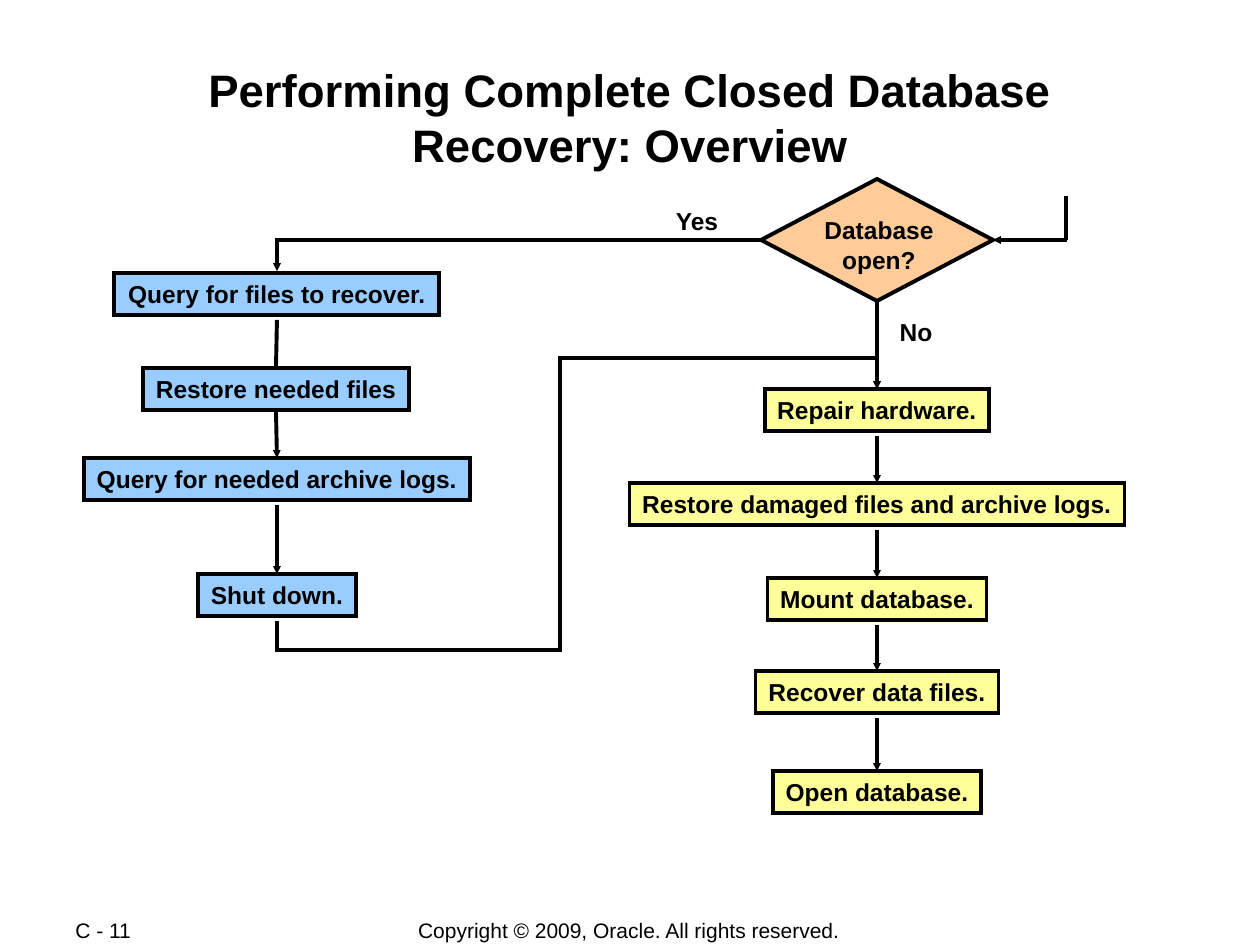
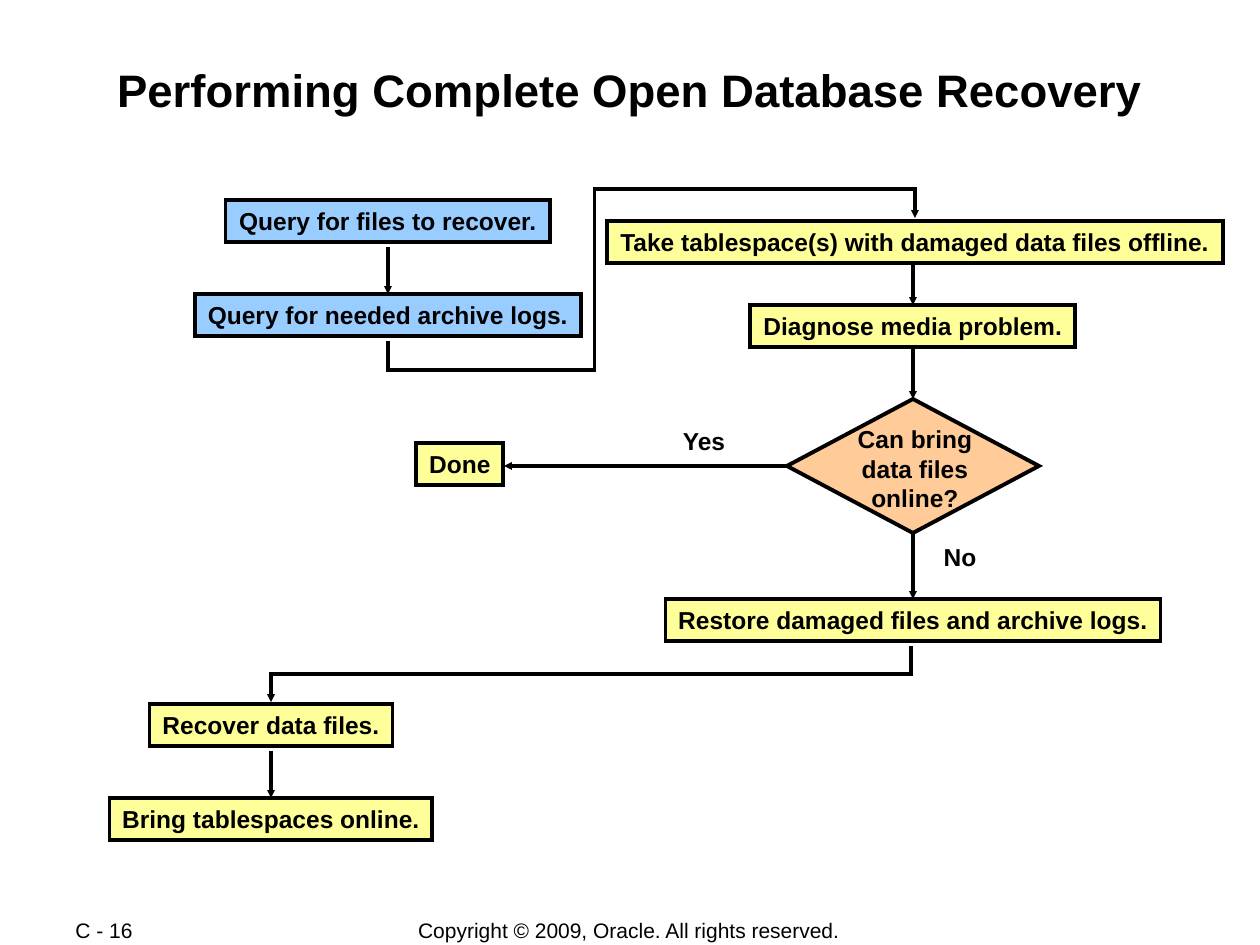
from lxml.etree import SubElement
from pptx import Presentation
from pptx.dml.color import RGBColor
from pptx.enum.shapes import MSO_CONNECTOR as LINK, MSO_SHAPE as SHAPE
from pptx.enum.text import MSO_ANCHOR as ANCHOR, MSO_AUTO_SIZE as AUTO, PP_ALIGN as ALIGN
from pptx.oxml.ns import qn
from pptx.util import Pt

PX = 914400 / 126
BLACK, BLUE, YELLOW, PEACH = "000000", "99CCFF", "FFFF99", "FFCC99"
FONT = "Arial"
STEP_HEIGHT, LINE_HEIGHT, LABEL_PADDING = 42, 29, 13
TOP, LEFT, BOTTOM, RIGHT = range(4)
COPYRIGHT = "Copyright © 2009, Oracle. All rights reserved."

QUERY_FILES = "Query for files to recover."
QUERY_LOGS = "Query for needed archive logs."
RESTORE_NEEDED = "Restore needed files"
SHUT_DOWN = "Shut down."
REPAIR = "Repair hardware."
RESTORE_DAMAGED = "Restore damaged files and archive logs."
MOUNT = "Mount database."
RECOVER = "Recover data files."
OPEN = "Open database."
TAKE_OFFLINE = "Take tablespace(s) with damaged data files offline."
DIAGNOSE = "Diagnose media problem."
BRING_ONLINE = "Bring tablespaces online."
DONE = "Done"
DECISION = "decision"

STEP_WIDTHS = {
    QUERY_FILES: 325, QUERY_LOGS: 386, RESTORE_NEEDED: 266, SHUT_DOWN: 158,
    REPAIR: 224, RESTORE_DAMAGED: 495, MOUNT: 219, RECOVER: 243, OPEN: 208,
    TAKE_OFFLINE: 616, DIAGNOSE: 325, BRING_ONLINE: 323, DONE: 87,
}

FLOWCHARTS = [
    {
        "title": "Performing Complete Closed Database\vRecovery: Overview",
        "page": "C - 11",
        "decision": (877, 179, 232, 122),
        "labels": [("Database\nopen?", 879, 209, 136), ("Yes", 697, 200, 70), ("No", 916, 311, 58)],
        "steps": [
            (QUERY_FILES, 277, 273, BLUE), (RESTORE_NEEDED, 276, 368, BLUE),
            (QUERY_LOGS, 277, 458, BLUE), (SHUT_DOWN, 277, 574, BLUE),
            (REPAIR, 877, 389, YELLOW), (RESTORE_DAMAGED, 877, 483, YELLOW),
            (MOUNT, 877, 578, YELLOW), (RECOVER, 877, 671, YELLOW),
            (OPEN, 877, 771, YELLOW),
        ],
        "flows": [
            (QUERY_FILES, RESTORE_NEEDED, 5, False), (RESTORE_NEEDED, QUERY_LOGS, 0, True),
            (QUERY_LOGS, SHUT_DOWN, 5, True), (DECISION, REPAIR, 0, True),
            (REPAIR, RESTORE_DAMAGED, 5, True), (RESTORE_DAMAGED, MOUNT, 5, True),
            (MOUNT, RECOVER, 5, True), (RECOVER, OPEN, 5, True),
        ],
        "lines": [
            ((1067, 240), (DECISION, RIGHT), True),
            ((1066, 240), (1066, 196), False),
        ],
        "elbows": [
            ((760, 240), (277, 271), "bentConnector2", 180, "V", ()),
            ((277, 621), (877, 389), "bentConnector5", 90, "HV", (-126, 472, 1134)),
        ],
    },
    {
        "title": "Performing Complete Open Database Recovery",
        "page": "C - 16",
        "decision": (913, 399, 252, 134),
        "labels": [
            ("Can bring\ndata files\vonline?", 915, 418, 140),
            ("Yes", 704, 420, 70), ("No", 960, 536, 58),
        ],
        "steps": [
            (QUERY_FILES, 388, 200, BLUE), (QUERY_LOGS, 388, 294, BLUE),
            (TAKE_OFFLINE, 915, 221, YELLOW), (DIAGNOSE, 913, 305, YELLOW),
            (RESTORE_DAMAGED, 913, 599, YELLOW), (RECOVER, 271, 704, YELLOW),
            (BRING_ONLINE, 271, 798, YELLOW), (DONE, 460, 443, YELLOW),
        ],
        "flows": [
            (QUERY_FILES, QUERY_LOGS, 5, True), (DIAGNOSE, DECISION, 0, True),
            (DECISION, RESTORE_DAMAGED, 0, True), (RECOVER, BRING_ONLINE, 5, True),
        ],
        "lines": [
            ((913, 263), (DIAGNOSE, TOP), True),
            ((DECISION, LEFT), (504, 466), True),
        ],
        "elbows": [
            ((911, 646), (271, 702), "bentConnector3", 90, "", (500,)),
            ((388, 341), (915, 218), "bentConnector5", 90, "HV", (-239, 392, 1239)),
        ],
    },
]


def emu(*lengths):
    return [round(length * PX) for length in lengths]


def color(hex_code):
    return RGBColor.from_string(hex_code)


def write(frame, text, size, bold=False, align=ALIGN.CENTER):
    frame.text = text
    for paragraph in frame.paragraphs:
        paragraph.alignment = align
        for run in paragraph.runs:
            run.font.name, run.font.size, run.font.bold = FONT, Pt(size), bold
            run.font.color.rgb = color(BLACK)


def add_label(slide, text, box, size=14, bold=True, align=ALIGN.CENTER, wrap=False, anchor=ANCHOR.TOP):
    frame = slide.shapes.add_textbox(*emu(*box)).text_frame
    frame.word_wrap, frame.vertical_anchor = wrap, anchor
    write(frame, text, size, bold, align)


def style_line(line):
    line.color.rgb, line.width = color(BLACK), Pt(2.25)
    outline = line._get_or_add_ln()
    SubElement(outline, qn("a:miter"), lim="800000")
    return outline


def add_node(slide, kind, center, top, width, height, fill):
    node = slide.shapes.add_shape(kind, *emu(center - width / 2, top, width, height))
    node.shadow.inherit = False
    node.fill.solid()
    node.fill.fore_color.rgb = color(fill)
    style_line(node.line)
    return node


def add_step(slide, text, center, top, fill):
    step = add_node(slide, SHAPE.RECTANGLE, center, top, STEP_WIDTHS[text], STEP_HEIGHT, fill)
    step.text_frame.word_wrap = False
    step.text_frame.vertical_anchor = ANCHOR.TOP
    write(step.text_frame, text, 14, True)
    return step


def style_connector(connector, arrow):
    outline = style_line(connector.line)
    if arrow:
        SubElement(outline, qn("a:tailEnd"), type="triangle", w="sm", len="sm")
    SubElement(connector.element.spPr, qn("a:effectLst"))


def add_line(slide, nodes, start, end, arrow):
    points = [(0, 0) if point[0] in nodes else point for point in (start, end)]
    line = slide.shapes.add_connector(LINK.STRAIGHT, *emu(*points[0], *points[1]))
    for point, join in ((start, line.begin_connect), (end, line.end_connect)):
        if point[0] in nodes:
            join(nodes[point[0]], point[1])
    style_connector(line, arrow)


def add_flow(slide, nodes, upper, lower, gap, arrow):
    above = nodes[upper]
    start = (upper, BOTTOM)
    if gap:
        start = ((above.left + above.width / 2) / PX, (above.top + above.height) / PX + gap)
    add_line(slide, nodes, start, (lower, TOP), arrow)


def add_elbow(slide, start, end, preset, turn, flips, bends):
    (x1, y1), (x2, y2) = start, end
    width, height = abs(x2 - x1), abs(y2 - y1)
    if turn == 90:
        width, height = height, width
    left, top = (x1 + x2 - width) / 2, (y1 + y2 - height) / 2
    elbow = slide.shapes.add_connector(LINK.ELBOW, *emu(left, top, left + width, top + height))
    frame = elbow.element.spPr.find(qn("a:xfrm"))
    frame.set("rot", str(turn * 60000))
    for axis in flips:
        frame.set("flip" + axis, "1")
    geometry = elbow.element.spPr.find(qn("a:prstGeom"))
    geometry.set("prst", preset)
    adjustments = geometry.find(qn("a:avLst"))
    for number, bend in enumerate(bends, 1):
        SubElement(adjustments, qn("a:gd"), name=f"adj{number}", fmla=f"val {bend * 100}")
    style_connector(elbow, True)


def format_layout(layout):
    title = layout.placeholders[0]
    title.left, title.top, title.width, title.height = emu(84, 61, 1092, 121)
    frame = title.text_frame
    frame.margin_left = frame.margin_top = frame.margin_right = frame.margin_bottom = emu(1)[0]
    frame.vertical_anchor, frame.auto_size = ANCHOR.TOP, AUTO.NONE


def add_flowchart(deck, layout, chart):
    slide = deck.slides.add_slide(layout)
    write(slide.shapes.title.text_frame, chart["title"], 26, True)
    add_label(slide, COPYRIGHT, (346, 917, 566, 26), 12, False, anchor=ANCHOR.MIDDLE)
    add_label(slide, chart["page"], (63, 917, 134, 26), 12, False, ALIGN.LEFT, True, ANCHOR.MIDDLE)

    nodes = {DECISION: add_node(slide, SHAPE.FLOWCHART_DECISION, *chart["decision"], PEACH)}
    for text, center, top, width in chart["labels"]:
        height = LABEL_PADDING + LINE_HEIGHT * len(text.splitlines())
        add_label(slide, text, (center - width / 2, top, width, height))
    for step in chart["steps"]:
        nodes[step[0]] = add_step(slide, *step)
    for flow in chart["flows"]:
        add_flow(slide, nodes, *flow)
    for line in chart["lines"]:
        add_line(slide, nodes, *line)
    for elbow in chart["elbows"]:
        add_elbow(slide, *elbow)


def main():
    """Build the two database recovery flowcharts."""
    deck = Presentation()
    deck.slide_width, deck.slide_height = emu(1260, 945)
    layout = deck.slide_layouts[5]
    format_layout(layout)
    for chart in FLOWCHARTS:
        add_flowchart(deck, layout, chart)
    deck.save("out.pptx")


if __name__ == "__main__":
    main()
